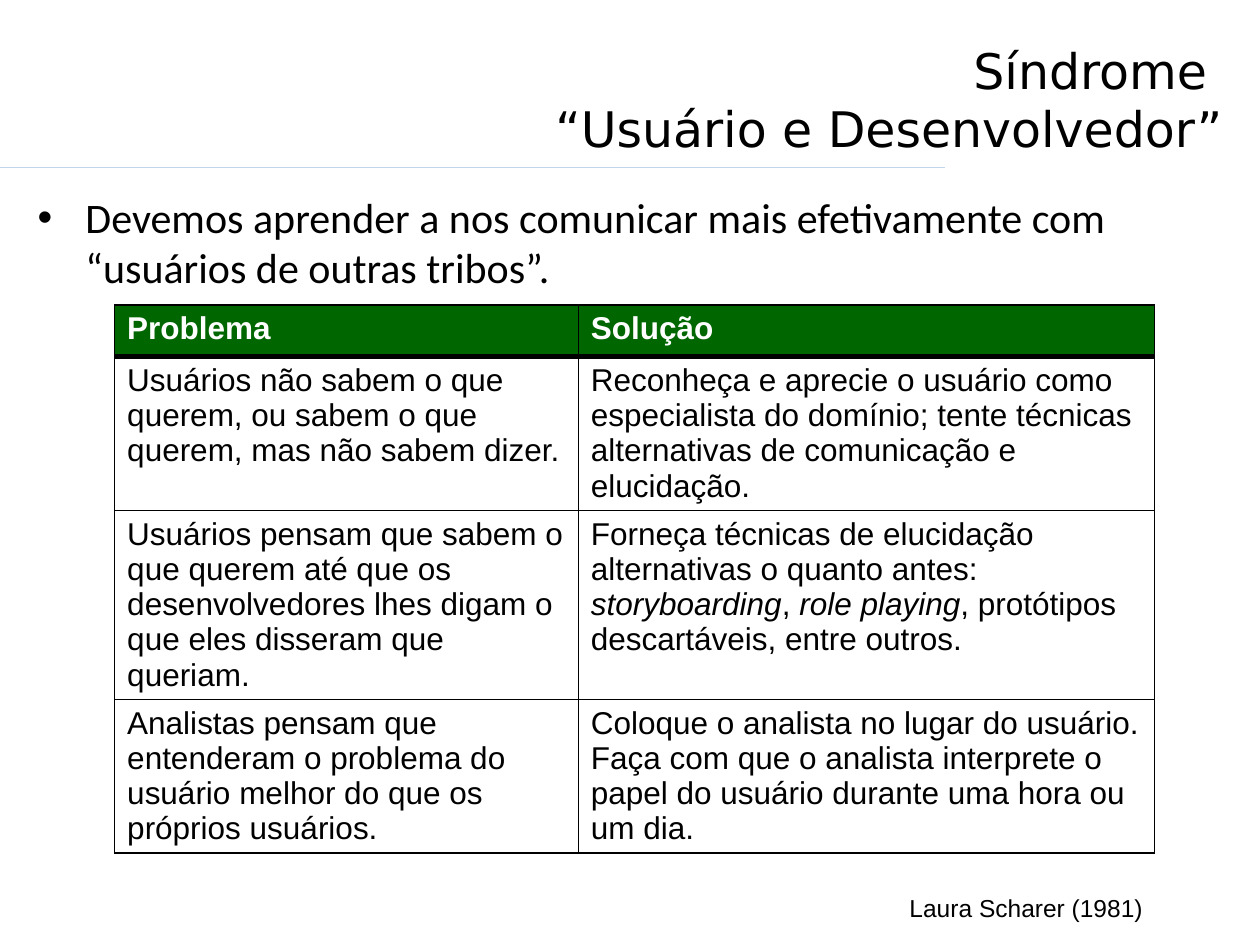
from lxml.etree import SubElement
from pptx import Presentation
from pptx.dml.color import RGBColor
from pptx.enum.shapes import MSO_CONNECTOR as Connector
from pptx.enum.text import MSO_ANCHOR as Anchor, PP_ALIGN as Align
from pptx.oxml import parse_xml
from pptx.oxml.ns import nsdecls, qn
from pptx.util import Inches, Pt

BLACK = RGBColor(0x00, 0x00, 0x00)
WHITE = RGBColor(0xFF, 0xFF, 0xFF)
GREEN = RGBColor(0x00, 0x66, 0x00)
PALE_BLUE = RGBColor(0xC4, 0xD6, 0xEB)

presentation = Presentation()
presentation.slide_width = Inches(10)
presentation.slide_height = Inches(7.5)
slide = presentation.slides.add_slide(presentation.slide_layouts[6])


def add_text(left, top, width, height, text, font, size, align=Align.LEFT):
    box = slide.shapes.add_textbox(Inches(left), Inches(top), Inches(width), Inches(height))
    box.text_frame.word_wrap = True
    box.text_frame.text = text
    paragraph = box.text_frame.paragraphs[0]
    paragraph.alignment = align
    for run in paragraph.runs:
        run.font.name, run.font.size = font, Pt(size)
        run.font.color.rgb = BLACK
    return box.text_frame


def set_borders(cell, **widths):
    properties = cell._tc.get_or_add_tcPr()
    for position, (side, points) in enumerate(widths.items()):
        properties.insert(position, parse_xml(
            f'<a:ln{side} {nsdecls("a")} w="{Pt(points)}"><a:solidFill>'
            f'<a:srgbClr val="{BLACK}"/></a:solidFill></a:ln{side}>'))


# Rule under the title, three quarters of the slide wide
rule = slide.shapes.add_connector(
    Connector.STRAIGHT, 0, Inches(1.33), int(presentation.slide_width * 0.75), Inches(1.33))
rule.line.color.rgb = PALE_BLUE
rule.line.width = Pt(0.75)
SubElement(rule._element.spPr, qn("a:effectLst"))

# Table of problems and solutions; runs between asterisks are italic
ROWS = [
    ("Problema", "Solução"),
    ("Usuários não sabem o que querem, ou sabem o que querem, mas não sabem dizer.",
     "Reconheça e aprecie o usuário como especialista do domínio; tente técnicas "
     "alternativas de comunicação e elucidação."),
    ("Usuários pensam que sabem o que querem até que os desenvolvedores lhes digam "
     "o que eles disseram que queriam.",
     "Forneça técnicas de elucidação alternativas o quanto antes: *storyboarding*, "
     "*role playing*, protótipos descartáveis, entre outros."),
    ("Analistas pensam que entenderam o problema do usuário melhor do que os "
     "próprios usuários.",
     "Coloque o analista no lugar do usuário. Faça com que o analista interprete o "
     "papel do usuário durante uma hora ou um dia."),
]
COLUMN_WIDTHS = [3.68, 4.57]
ROW_HEIGHTS = [0.41, 1.22, 1.5, 1.22]

table = slide.shapes.add_table(
    len(ROWS), len(COLUMN_WIDTHS), Inches(0.91), Inches(2.42),
    Inches(sum(COLUMN_WIDTHS)), Inches(sum(ROW_HEIGHTS))).table
table.horz_banding = False
for column, width in zip(table.columns, COLUMN_WIDTHS):
    column.width = Inches(width)

for row_index, (texts, height) in enumerate(zip(ROWS, ROW_HEIGHTS)):
    table.rows[row_index].height = Inches(height)
    header = row_index == 0
    for column_index, text in enumerate(texts):
        cell = table.cell(row_index, column_index)
        if header:
            cell.fill.solid()
            cell.fill.fore_color.rgb = GREEN
        else:
            cell.fill.background()
        set_borders(cell, L=0.75, R=0.75,
                    T=1 if header else 3 if row_index == 1 else 0.75,
                    B=3 if header else 0.75)
        paragraph = cell.text_frame.paragraphs[0]
        for part_index, part in enumerate(text.split("*")):
            run = paragraph.add_run()
            run.text = part
            run.font.name, run.font.size = "Arial", Pt(18)
            run.font.bold = header
            run.font.italic = part_index % 2 == 1
            run.font.color.rgb = WHITE if header else BLACK

# Source of the table
add_text(6.57, 7.04, 2.6, 0.34, "Laura Scharer (1981)", "Arial", 14, Align.RIGHT)

# Title
title = add_text(0.18, 0.28, 9.62, 1.01, "Síndrome \v“Usuário e Desenvolvedor”",
                 "DejaVu Sans", 28, Align.RIGHT)
title.vertical_anchor = Anchor.MIDDLE

# Bulleted statement
body = add_text(0.2, 1.47, 9.61, 5.2,
                "Devemos aprender a nos comunicar mais efetivamente com "
                "“usuários de outras tribos”.", "Calibri", 24)
bullet = body.paragraphs[0]._p.get_or_add_pPr()
bullet.set("marL", str(Inches(0.38)))
bullet.set("indent", str(-Inches(0.38)))
SubElement(bullet, qn("a:buFont")).set("typeface", "Arial")
SubElement(bullet, qn("a:buChar")).set("char", "•")

presentation.save("out.pptx")
